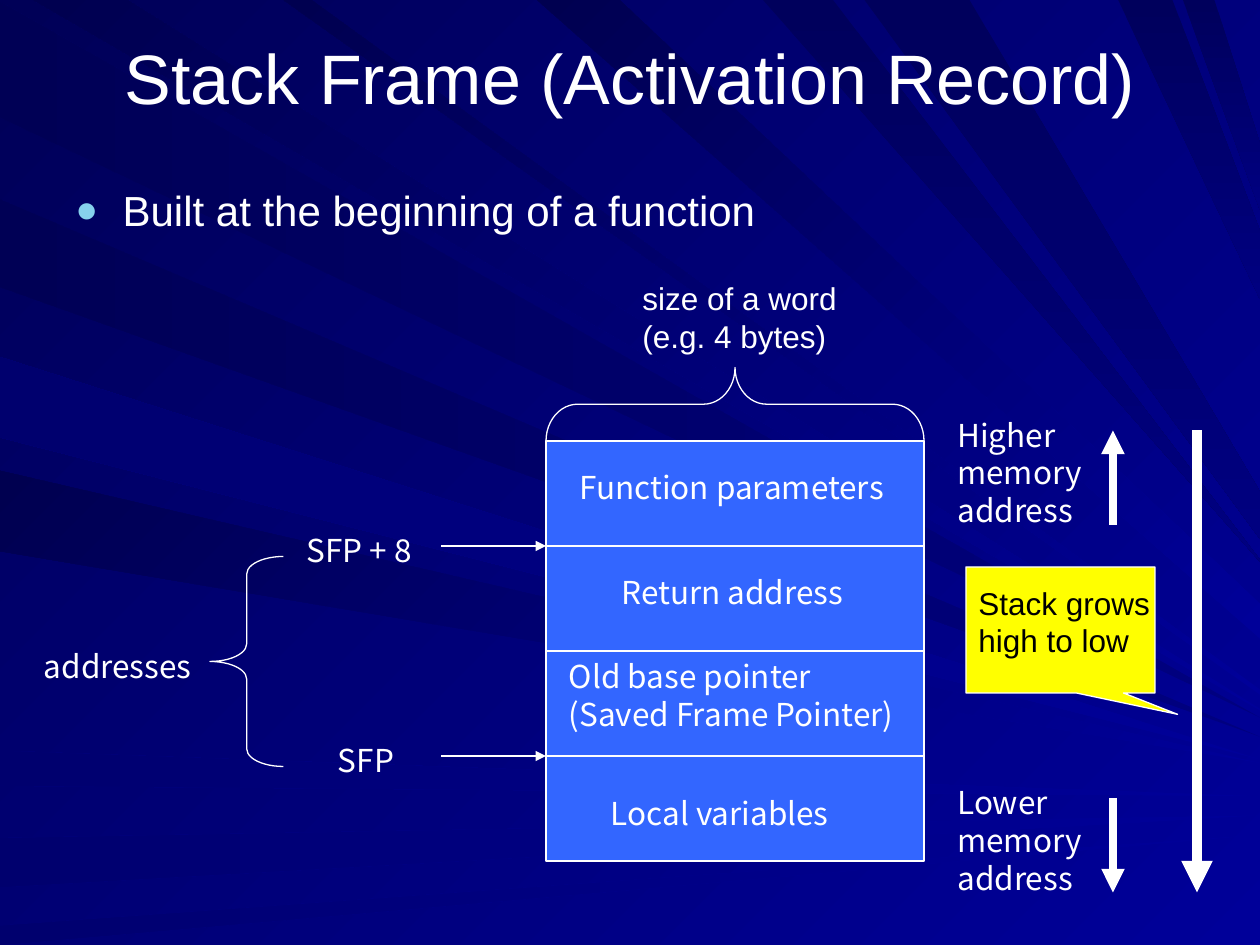
from dataclasses import dataclass

from lxml.etree import SubElement
from pptx import Presentation
from pptx.dml.color import RGBColor
from pptx.enum.shapes import MSO_CONNECTOR, MSO_SHAPE
from pptx.enum.text import MSO_ANCHOR, MSO_AUTO_SIZE, PP_ALIGN
from pptx.oxml.ns import qn
from pptx.util import Pt


@dataclass(frozen=True)
class Theme:
    ink: str = "FFFFFF"
    note_ink: str = "000000"
    note: str = "FFFF00"
    cell: str = "3366FF"
    bullet: str = "86D1EC"
    backdrop: tuple = ("000099", "000057", 225)
    level_ray: tuple = ("000080", "000055", 180)
    low_ray: tuple = ("000099", "00006E", 180)
    slant_ray: tuple = ("000099", "000050", 225)
    steep_ray: tuple = ("00005C", "000080", 90)
    latin: str = "Arial"
    label: str = "Noto Sans CJK KR"
    title_size: float = 40
    body_size: float = 24
    label_size: float = 18
    label_pitch: float = 21.6
    hairline: float = 0.75


THEME = Theme()
WIDTH, HEIGHT = 720, 540

LEFT_RAYS = [
    (THEME.level_ray, 1, 67, 410),
    (THEME.low_ray, 429, 449, 455),
    (THEME.low_ray, 479, 507, 466),
    (THEME.low_ray, 529, HEIGHT, 477),
    (THEME.level_ray, 114, 164, 421),
    (THEME.slant_ray, 269, 315, 436),
    (THEME.low_ray, 204, 250, 434),
]

TOP_RAYS = [
    (THEME.slant_ray, 19, 73, 405, 406),
    (THEME.slant_ray, 162, 178, 394, 397),
    (THEME.slant_ray, 307, 354, 345, 365),
    (THEME.steep_ray, 436, 476, 320, 321),
    (THEME.steep_ray, 494, 554, 281, 308),
    (THEME.steep_ray, 639, 670, 132, 171),
    (THEME.steep_ray, 676, 694, 82, 120),
]

CELL_LEFT, CELL_TOP, CELL_WIDTH, CELL_HEIGHT = 312, 252, 216, 60

LABELS = [
    ("Higher memory address", 540, 234, 108, 3),
    ("Lower memory address", 540, 444, 102, 3),
    ("Function parameters", 324, 264, 192, 1),
    ("Return address", 348, 324, 156, 1),
    ("Old base pointer (Saved Frame Pointer)", 318, 372, 210, 2),
    ("Local variables", 342, 450, 150, 1),
    ("SFP", 186, 420, 60, 1),
    ("SFP + 8", 168, 300, 90, 1),
    ("addresses", 18, 366, 102, 1),
]

MEMORY_ARROWS = [
    (636, 300, 246, 4.5),
    (636, 456, 510, 4.5),
    (684, 246, 510, 6),
]


def rgb(value):
    return RGBColor.from_string(value)


def apply_format(target, values):
    for attribute, value in values.items():
        setattr(target, attribute, value)


def paint_gradient(fill, start, end, direction):
    fill.gradient()
    fill.gradient_angle = 360 - direction
    for stop, color in zip(fill.gradient_stops, (start, end)):
        stop.color.rgb = rgb(color)


def outline(line, width=THEME.hairline):
    line.color.rgb = rgb(THEME.ink)
    line.width = Pt(width)


def add_ray(slide, gradient, corners):
    first, *rest = [(Pt(x), Pt(y)) for x, y in corners]
    builder = slide.shapes.build_freeform(*first, scale=1.0)
    builder.add_line_segments(rest, close=True)
    ray = builder.convert_to_shape()
    ray.shadow.inherit = False
    paint_gradient(ray.fill, *gradient)
    ray.line.fill.background()


def add_backdrop(slide):
    paint_gradient(slide.background.fill, *THEME.backdrop)
    for gradient, upper, lower, tip in LEFT_RAYS:
        add_ray(slide, gradient, [(0, upper), (0, lower), (WIDTH, tip)])
    for gradient, left, right, upper, lower in TOP_RAYS:
        add_ray(slide, gradient, [(left, 0), (right, 0), (WIDTH, upper), (WIDTH, lower)])


def add_figure(slide, kind, box, fill=None, adjustments=(), rotation=0):
    figure = slide.shapes.add_shape(kind, *map(Pt, box))
    figure.shadow.inherit = False
    figure.rotation = rotation
    for index, value in enumerate(adjustments):
        figure.adjustments[index] = value
    if fill:
        figure.fill.solid()
        figure.fill.fore_color.rgb = rgb(fill)
    else:
        figure.fill.background()
    outline(figure.line)


def add_arrow(slide, start, end, width=THEME.hairline):
    arrow = slide.shapes.add_connector(MSO_CONNECTOR.STRAIGHT, *map(Pt, start + end))
    outline(arrow.line, width)
    SubElement(arrow.line._get_or_add_ln(), qn("a:tailEnd"), type="triangle")
    SubElement(arrow._element.spPr, qn("a:effectLst"))


def add_bullet(paragraph):
    properties = paragraph._p.get_or_add_pPr()
    for name, value in {"marL": Pt(27), "indent": -Pt(27)}.items():
        properties.set(name, str(value))
    color = SubElement(properties, qn("a:buClr"))
    SubElement(color, qn("a:srgbClr"), val=THEME.bullet)
    SubElement(properties, qn("a:buSzPct"), val="90000")
    SubElement(properties, qn("a:buFont"), typeface=THEME.latin)
    SubElement(properties, qn("a:buChar"), char="●")


def add_text(slide, words, box, size, face=THEME.latin, color=THEME.ink,
             frame_format=None, paragraph_format=None, bullet=False):
    frame = slide.shapes.add_textbox(*map(Pt, box)).text_frame
    apply_format(frame, {"word_wrap": True, **(frame_format or {})})
    paragraph = frame.paragraphs[0]
    paragraph.text = words
    apply_format(paragraph, paragraph_format or {})
    if bullet:
        add_bullet(paragraph)
    font = paragraph.runs[0].font
    apply_format(font, {"name": face, "size": Pt(size)})
    font.color.rgb = rgb(color)


def add_label(slide, words, left, top, width, lines, face=THEME.label, color=THEME.ink):
    height = lines * THEME.label_pitch + 7.2
    add_text(slide, words, (left, top, width, height), THEME.label_size, face, color,
             {"auto_size": MSO_AUTO_SIZE.SHAPE_TO_FIT_TEXT},
             {"line_spacing": Pt(THEME.label_pitch)})


def main():
    deck = Presentation()
    apply_format(deck, {"slide_width": Pt(WIDTH), "slide_height": Pt(HEIGHT)})
    slide = deck.slides.add_slide(deck.slide_layouts[6])
    add_backdrop(slide)

    add_text(slide, "Stack Frame (Activation Record)", (36, 21.6, 648, 90), THEME.title_size,
             frame_format={"vertical_anchor": MSO_ANCHOR.MIDDLE, "margin_bottom": Pt(49.6)},
             paragraph_format={"alignment": PP_ALIGN.CENTER})
    add_text(slide, "Built at the beginning of a function", (36, 102, 648, 381),
             THEME.body_size, bullet=True)

    for row in range(4):
        add_figure(slide, MSO_SHAPE.RECTANGLE,
                   (CELL_LEFT, CELL_TOP + row * CELL_HEIGHT, CELL_WIDTH, CELL_HEIGHT), THEME.cell)
    for label in LABELS:
        add_label(slide, *label)
    for row in (1, 3):
        level = CELL_TOP + row * CELL_HEIGHT
        add_arrow(slide, (CELL_LEFT - 60, level), (CELL_LEFT, level))
    for x, start, end, width in MEMORY_ARROWS:
        add_arrow(slide, (x, start), (x, end), width)

    add_figure(slide, MSO_SHAPE.LEFT_BRACE, (120, 318, 42, 120), adjustments=(0.24, 0.5))
    add_figure(slide, MSO_SHAPE.LEFT_BRACE, (399, 123, 42, CELL_WIDTH),
               adjustments=(0.43, 0.5), rotation=90)
    add_figure(slide, MSO_SHAPE.RECTANGULAR_CALLOUT, (552, 324, 108, 72), THEME.note, (0.62, 0.67))
    add_label(slide, "Stack grows high to low", 552, 330, 120, 2, THEME.latin, THEME.note_ink)
    add_label(slide, "size of a word (e.g. 4 bytes)", 360, 156, 138, 2, THEME.latin)
    deck.save("out.pptx")


if __name__ == "__main__":
    main()
